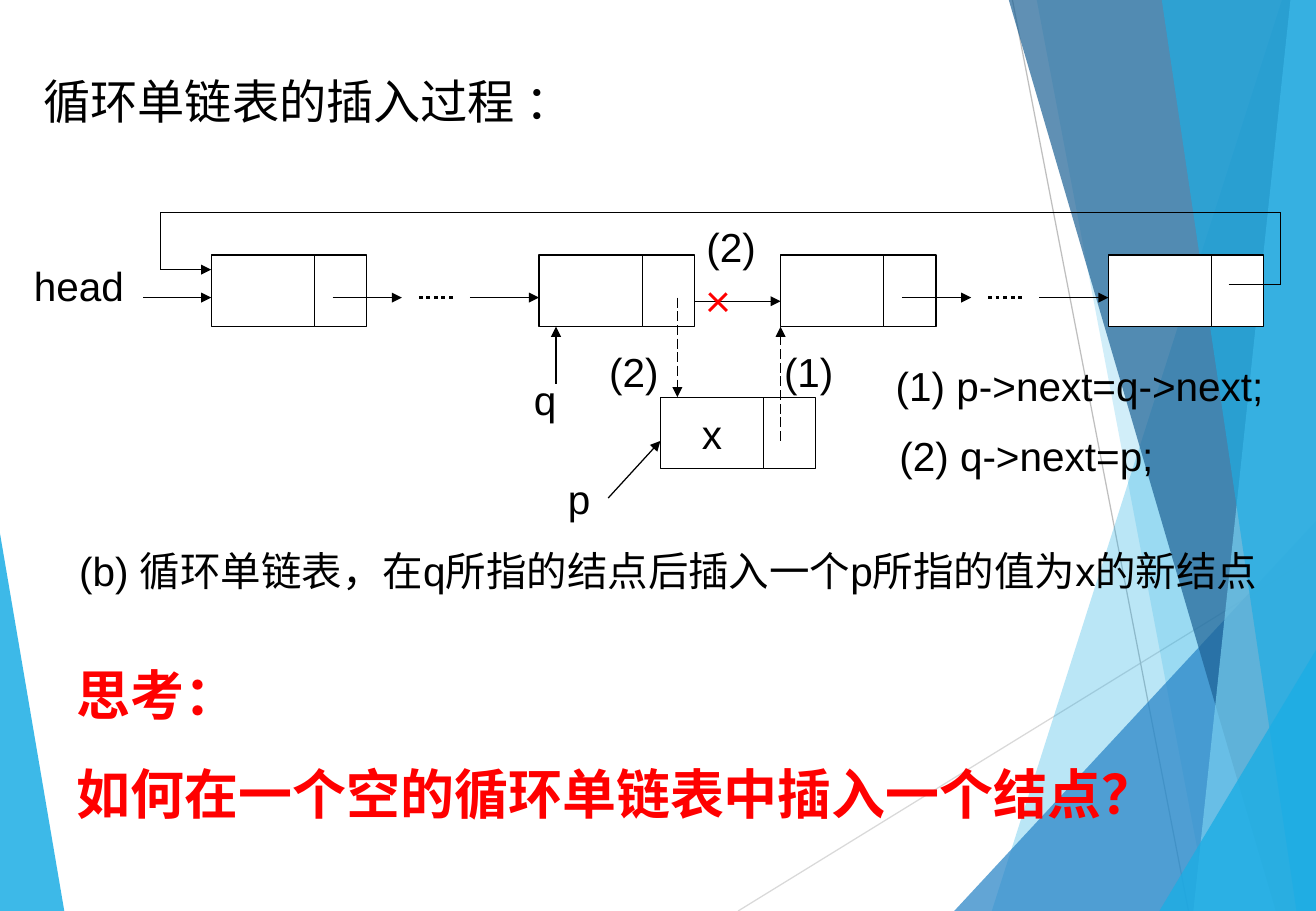
from pptx import Presentation
from pptx import util as u
from pptx.dml.color import RGBColor
from pptx.enum import dml, shapes, text
from pptx.oxml.ns import qn
from lxml import etree

PX = 9144
WIDTH, HEIGHT = 1084, 750
BLACK, WHITE, RED = "000000", "FFFFFF", "FF0000"
SKY, BLUE, NAVY, PALE = "1CADE4", "2683C6", "1D6295", "77CEEF"
CELL_HEIGHT, VALUE_WIDTH, LINK_WIDTH = 59, 85, 43


def px(*lengths):
    return [u.Emu(length * PX) for length in lengths]


def color(hex_string):
    return RGBColor.from_string(hex_string)


def write(frame, *lines, size=24, font="Arial", ink=BLACK, bold=False,
          align=text.PP_ALIGN.LEFT, gap=0, wrap=True):
    frame.word_wrap = wrap
    for index, line in enumerate(lines):
        paragraph = frame.paragraphs[0] if index == 0 else frame.add_paragraph()
        paragraph.alignment = align
        if index:
            paragraph.space_before = u.Pt(gap)
        run = paragraph.add_run()
        run.text = line
        run.font.size = u.Pt(size)
        run.font.name = font
        run.font.bold = bold
        run.font.color.rgb = color(ink)


def label(slide, box, *lines, **style):
    frame = slide.shapes.add_textbox(*px(*box)).text_frame
    write(frame, *lines, **style)
    return frame


def line(slide, start, end, ink=BLACK, width=0.75, dash=None, arrow=False):
    link = slide.shapes.add_connector(shapes.MSO_CONNECTOR.STRAIGHT, *px(*start, *end))
    link.line.color.rgb = color(ink)
    link.line.width = u.Pt(width)
    if dash:
        link.line.dash_style = dash
    if arrow:
        etree.SubElement(link.line._get_or_add_ln(), qn("a:tailEnd"), type="triangle")
    etree.SubElement(link._element.spPr, qn("a:effectLst"))


def facet(slide, points, fill, opacity):
    builder = slide.shapes.build_freeform(*points[0], scale=PX)
    builder.add_line_segments(points[1:], close=True)
    pane = builder.convert_to_shape()
    pane.shadow.inherit = False
    pane.line.fill.background()
    pane.fill.solid()
    pane.fill.fore_color.rgb = color(fill)
    tint = pane._element.spPr.find(qn("a:solidFill"))[0]
    etree.SubElement(tint, qn("a:alpha"), val=str(opacity * 1000))


def backdrop(slide, width, height):
    facet(slide, [(0, 439), (53, height), (0, height)], SKY, 85)
    line(slide, (608, height), (width, 457), ink="D9D9D9")
    line(slide, (834, 0), (979, height), ink="BFBFBF")
    for top, bottom, start, fill, opacity in [
        (1056, 817, 0, SKY, 30),
        (854, 996, 0, SKY, 20),
        (width, 786, 429, BLUE, 72),
        (831, 1051, 0, NAVY, 70),
        (1063, 983, 0, PALE, 70),
        (957, 1068, 0, SKY, 65),
        (width, 955, 535, SKY, 80),
    ]:
        corners = [(top, start), (bottom, height), (width, height)]
        if top < width:
            corners.append((width, start))
        facet(slide, corners, fill, opacity)


def node(slide, x, y, value=""):
    for left, width, content in [(x, VALUE_WIDTH, value), (x + VALUE_WIDTH, LINK_WIDTH, "")]:
        cell = slide.shapes.add_shape(
            shapes.MSO_SHAPE.RECTANGLE, *px(left, y, width, CELL_HEIGHT))
        cell.shadow.inherit = False
        cell.fill.solid()
        cell.fill.fore_color.rgb = color(WHITE)
        cell.line.color.rgb = color(BLACK)
        cell.line.width = u.Pt(0.75)
        if content:
            cell.text_frame.vertical_anchor = text.MSO_ANCHOR.MIDDLE
            write(cell.text_frame, content, align=text.PP_ALIGN.CENTER, wrap=False)


def skipped_nodes(slide, x, y):
    line(slide, (x, y), (x + 57, y), arrow=True)
    line(slide, (x + 71, y), (x + 99, y), width=2.25, dash=dml.MSO_LINE.ROUND_DOT)
    line(slide, (x + 113, y), (x + 170, y), arrow=True)


def circular_list(slide, x, y):
    row, axis = y + 35, y + 70
    first, before, after, last = [x + offset for offset in (156, 426, 625, 895)]
    line(slide, (before + 114, axis + 3), (after, axis + 3), arrow=True)
    for left in (first, before, after, last):
        node(slide, left, row)
    for left in (first, after):
        skipped_nodes(slide, left + 100, axis)
    label(slide, (x, row, 185, 50), "head")
    line(slide, (x + 100, axis), (first, axis), arrow=True)

    loop_left, loop_right = x + 114, x + 1037
    loop = [(last + 99, y + 59), (loop_right, y + 59), (loop_right, y),
            (loop_left, y), (loop_left, y + 47), (first, y + 47)]
    for start, end in zip(loop, loop[1:]):
        line(slide, start, end, arrow=end == loop[-1])


def insertion(slide, x, y):
    node(slide, x, y, "x")
    line(slide, (x + 14, y - 82), (x + 14, y), dash=dml.MSO_LINE.LONG_DASH, arrow=True)
    label(slide, (x - 52, y - 46, 71, 50), "(2)")
    removed = label(slide, (x + 28, y - 149, 85, 97), "(2)")
    removed.add_paragraph()
    cross = removed.paragraphs[1].add_run()
    cross.text = "×"
    cross.font.size = u.Pt(28)
    cross.font.color.rgb = color(RED)
    pointers = label(slide, (x - 114, y - 23, 142, 132), "q", "p", gap=30)
    pointers.paragraphs[1]._p.get_or_add_pPr().set("marL", str(28 * PX))
    line(slide, (x - 86, y - 11), (x - 86, y - 58), arrow=True)
    line(slide, (x - 43, y + 83), (x, y + 36), arrow=True)
    line(slide, (x + 99, y + 36), (x + 99, y - 58), dash=dml.MSO_LINE.LONG_DASH, arrow=True)
    label(slide, (x + 92, y - 46, 71, 50), "(1)")


def statements(slide, x, y):
    label(slide, (x, y, 355, 50), "(1) p->next=q->next;")
    label(slide, (x + 3, y + 58, 361, 50), "(2) q->next=p;")


def question(slide, x, y):
    label(slide, (x, y, 992, 145), "思考：", "如何在一个空的循环单链表中插入一个结点？",
          size=32, font="Times New Roman", ink=RED, bold=True, gap=20)


def main():
    deck = Presentation()
    deck.slide_width, deck.slide_height = px(WIDTH, HEIGHT)
    slide = deck.slides.add_slide(deck.slide_layouts[6])
    backdrop(slide, WIDTH, HEIGHT)
    label(slide, (26, 55, 1002, 57), "循环单链表的插入过程 ：", size=28)
    circular_list(slide, 18, 175)
    insertion(slide, 544, 327)
    label(slide, (32, 445, 1037, 90),
          "(b) 循环单链表，在q所指的结点后插入一个p所指的值为x的新结点",
          align=text.PP_ALIGN.CENTER)
    statements(slide, 728, 292)
    question(slide, 53, 540)
    deck.save("out.pptx")


if __name__ == "__main__":
    main()
